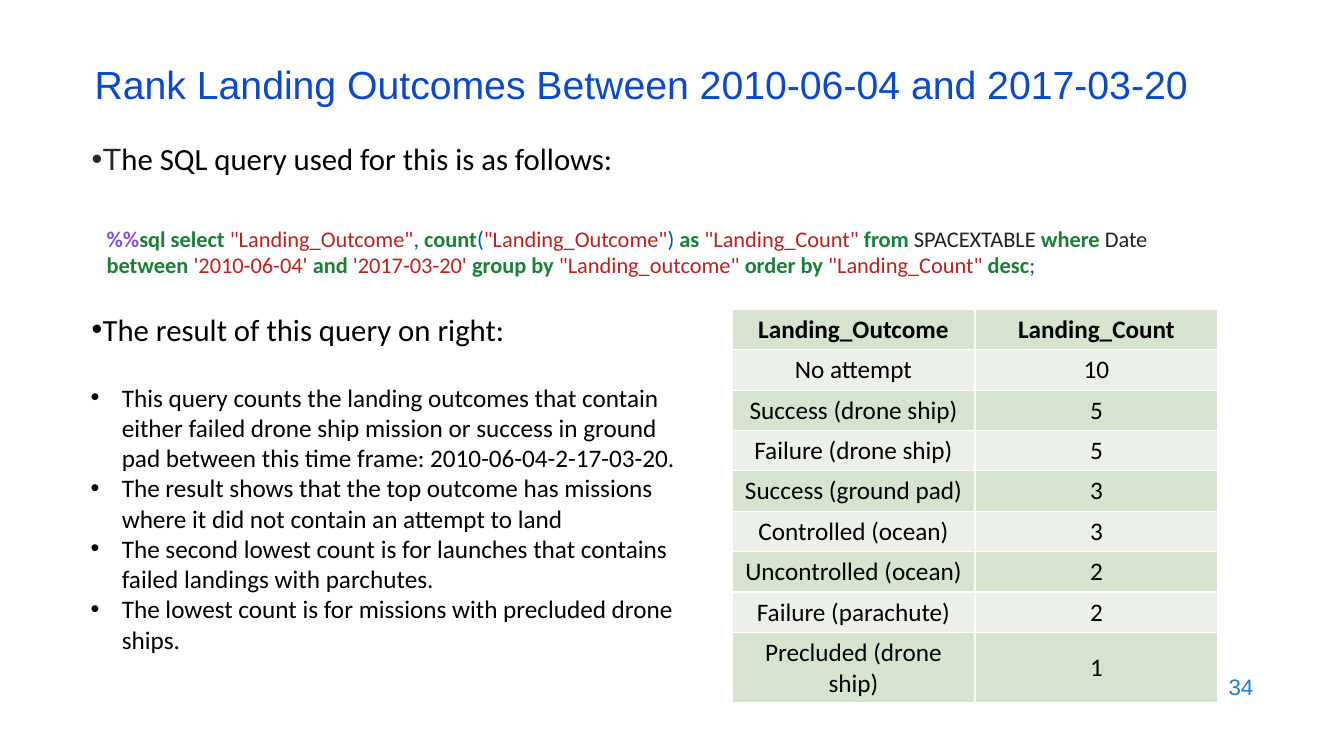
from pptx import Presentation
from pptx.dml.color import RGBColor
from pptx.enum.text import MSO_ANCHOR, PP_ALIGN
from pptx.oxml.ns import qn
from pptx.util import Inches, Pt
from lxml import etree

MIDDLE = MSO_ANCHOR.MIDDLE
CENTER = PP_ALIGN.CENTER
LEFT = PP_ALIGN.LEFT
RIGHT = PP_ALIGN.RIGHT

COLORS = {
    "title": "0B49CB", "page": "1C7DDB", "text": "000000", "lead": "292929",
    "magic": "8250DF", "key": "1A7F37", "string": "BA2121",
    "mark": "0055AA", "name": "212121",
    "dark": "D5E3CF", "light": "EBF1E9", "edge": "FFFFFF",
}
BOLD = ("magic", "key")

TITLE = "Rank Landing Outcomes Between 2010-06-04 and 2017-03-20"
PAGE = "34"
INTRO = [("T", "lead", "Arial"),
         ("he SQL query used for this is as follows:", "text", "Calibri")]
RESULT = [("The result of this query on right:", "text", "Calibri")]
QUERY = [
    ("%%", "magic"), ("sql select ", "key"), ('"Landing_Outcome"', "string"),
    (", ", "mark"), ("count", "key"), ("(", "mark"),
    ('"Landing_Outcome"', "string"), (") ", "mark"), ("as ", "key"),
    ('"Landing_Count" ', "string"), ("from", "key"),
    (" SPACEXTABLE ", "name"), ("where", "key"), (" Date ", "name"),
    ("between ", "key"), ("'2010-06-04' ", "string"), ("and ", "key"),
    ("'2017-03-20' ", "string"), ("group by ", "key"),
    ('"Landing_outcome" ', "string"), ("order by ", "key"),
    ('"Landing_Count" ', "string"), ("desc", "key"), (";", "mark"),
]
NOTES = [
    "This query counts the landing outcomes that contain either failed drone "
    "ship mission or success in ground pad between this time frame: "
    "2010-06-04-2-17-03-20.",
    "The result shows that the top outcome has missions where it did not "
    "contain an attempt to land",
    "The second lowest count is for launches that contains failed landings "
    "with parchutes.",
    "The lowest count is for missions with precluded drone ships.",
]
ROWS = [
    ("Landing_Outcome", "Landing_Count"),
    ("No attempt", "10"),
    ("Success (drone ship)", "5"),
    ("Failure (drone ship)", "5"),
    ("Success (ground pad)", "3"),
    ("Controlled (ocean)", "3"),
    ("Uncontrolled (ocean)", "2"),
    ("Failure (parachute)", "2"),
    ("Precluded (drone ship)", "1"),
]
ROW, LAST, COL = 0.4, 0.7, 2.41


def paint(run, size, color, face="Calibri", bold=False):
    run.font.size = Pt(size)
    run.font.name = face
    run.font.bold = bold
    run.font.color.rgb = RGBColor.from_string(COLORS[color])


def add_box(x, y, w, h):
    frame = slide.shapes.add_textbox(
        Inches(x), Inches(y), Inches(w), Inches(h)).text_frame
    frame.word_wrap = True
    return frame


def add_line(x, y, w, h, text, size, color, align):
    frame = add_box(x, y, w, h)
    frame.vertical_anchor = MIDDLE
    frame.text = text
    para = frame.paragraphs[0]
    para.alignment = align
    paint(para.runs[0], size, color, "Arial")
    return para


def add_runs(para, parts, size):
    for text, color, face in parts:
        run = para.add_run()
        run.text = text
        paint(run, size, color, face, color in BOLD)


def add_bullet(para, indent):
    props = para._p.get_or_add_pPr()
    props.set("marL", str(Inches(indent)))
    props.set("indent", str(-Inches(indent)))
    etree.SubElement(props, qn("a:buFont")).set("typeface", "Arial")
    etree.SubElement(props, qn("a:buChar")).set("char", "•")


def add_edges(cell):
    props = cell._tc.get_or_add_tcPr()
    for side in ("lnL", "lnR", "lnT", "lnB"):
        line = etree.SubElement(props, qn("a:" + side), w=str(Pt(1)))
        fill = etree.SubElement(line, qn("a:solidFill"))
        etree.SubElement(fill, qn("a:srgbClr"), val=COLORS["edge"])


deck = Presentation()
deck.slide_width = Inches(13.33)
deck.slide_height = Inches(7.5)
slide = deck.slides.add_slide(deck.slide_layouts[6])

title = add_line(0.84, 0.59, 11.5, 0.6, TITLE, 28, "title", LEFT)
title.line_spacing = 0.7
add_line(9.53, 6.59, 3, 0.44, PAGE, 16, "page", RIGHT)

for parts, top, width in ((INTRO, 1.34, 11.71), (RESULT, 3.03, 6.2)):
    head = add_box(0.81, top, width, 0.48).paragraphs[0]
    add_bullet(head, 0.11)
    add_runs(head, parts, 22)

query = add_box(0.96, 2.18, 11.12, 0.63).paragraphs[0]
add_runs(query, [(text, color, "Calibri") for text, color in QUERY], 16)

notes = add_box(0.8, 3.74, 6.07, 2.83)
notes.text = "\n".join(NOTES)
for para in notes.paragraphs:
    add_bullet(para, 0.31)
    paint(para.runs[0], 18, "text")

height = ROW * (len(ROWS) - 1) + LAST
table = slide.shapes.add_table(
    len(ROWS), 2, Inches(7.26), Inches(3.07),
    Inches(2 * COL), Inches(height)).table
for col in table.columns:
    col.width = Inches(COL)
for i, values in enumerate(ROWS):
    table.rows[i].height = Inches(LAST if i == len(ROWS) - 1 else ROW)
    for j, value in enumerate(values):
        cell = table.cell(i, j)
        add_edges(cell)
        cell.fill.solid()
        shade = COLORS["light" if i % 2 else "dark"]
        cell.fill.fore_color.rgb = RGBColor.from_string(shade)
        cell.vertical_anchor = MIDDLE
        cell.text_frame.text = value
        para = cell.text_frame.paragraphs[0]
        para.alignment = CENTER
        paint(para.runs[0], 18, "text", bold=i == 0)

deck.save("out.pptx")
